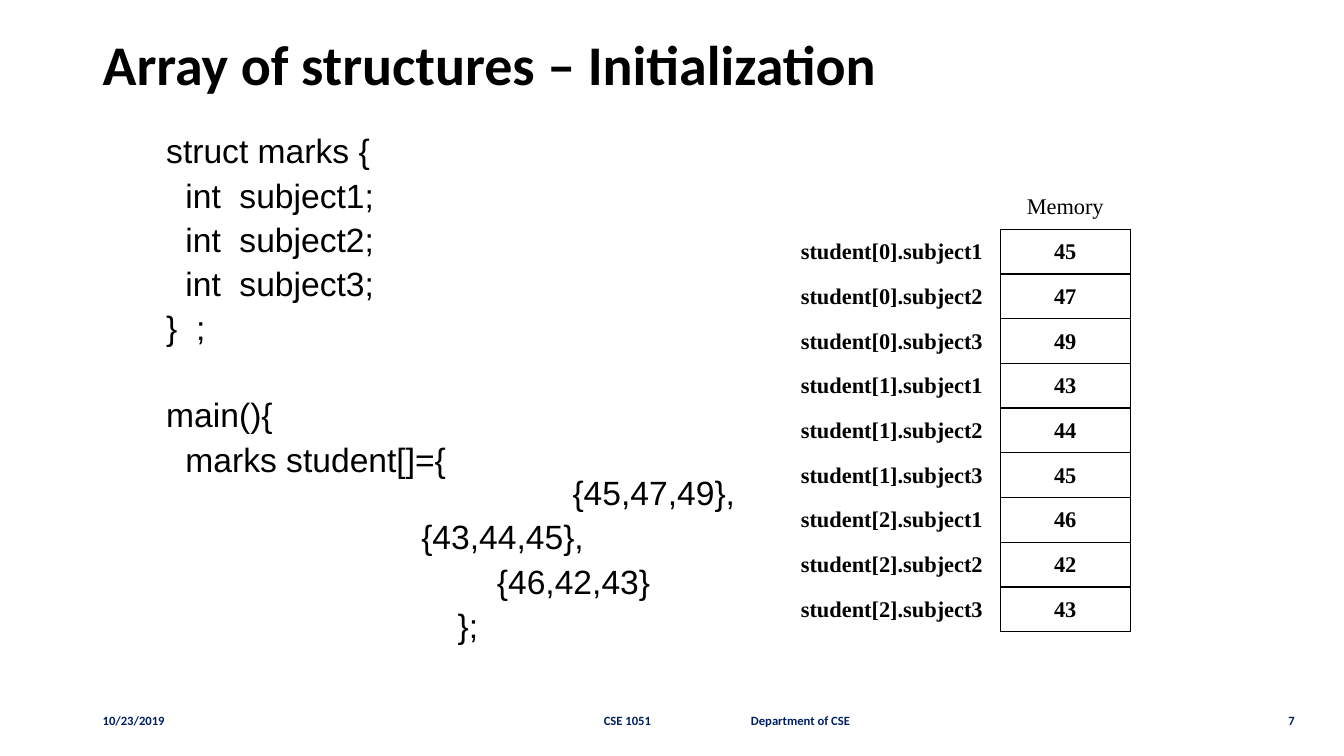
from lxml import etree
from pptx import Presentation
from pptx.dml.color import RGBColor as RGB
from pptx.enum.text import MSO_ANCHOR as Anchor, PP_ALIGN as Align
from pptx.oxml.ns import qn
from pptx.util import Inches, Pt

HUES = {"ink": "000000", "foot": "002060"}
TITLE = "Array of structures – Initialization"
CODE = [
    ("struct marks {", 0, 0),
    ("int  subject1;", 0.19, 7.7),
    ("int  subject2;", 0.19, 7.7),
    ("int  subject3;", 0.19, 7.7),
    ("}  ;", 0, 7.7),
    ("main(){", 0, 38.3),
    ("marks student[]={", 0.19, 7.7),
    ("{45,47,49},", 4.03, 0),
    ("{43,44,45},", 2.53, 7.7),
    ("{46,42,43}", 3.28, 7.7),
    ("};", 2.89, 7.7),
]
MARKS = [(45, 47, 49), (43, 44, 45), (46, 42, 43)]
FOOT = [
    ("10/23/2019", 0.92, 1.26, Align.LEFT),
    ("CSE 1051", 5.89, 1.2, Align.LEFT),
    ("Department of CSE", 7.35, 1.6, Align.LEFT),
    ("7", 12.42, 0.52, Align.RIGHT),
]
COLS = (2.15, 1.29)
ROW = 0.444


def style(para, face, size, hue="ink", bold=False):
    font = para.font
    font.name, font.size, font.bold = face, Pt(size), bold
    font.color.rgb = RGB.from_string(HUES[hue])


def add_box(slide, left, top, width, height, anchor=Anchor.MIDDLE):
    box = slide.shapes.add_textbox(*map(Inches, (left, top, width, height)))
    frame = box.text_frame
    frame.word_wrap = True
    frame.vertical_anchor = anchor
    return frame


def add_code(slide):
    frame = add_box(slide, 1.55, 1.31, 6.38, 5.28, Anchor.TOP)
    for i, (line, indent, gap) in enumerate(CODE):
        para = frame.add_paragraph() if i else frame.paragraphs[0]
        para.text = line
        para.line_spacing = 0.83
        para.space_before = Pt(gap)
        para._p.get_or_add_pPr().set("marL", str(Inches(indent)))
        style(para, "Arial", 24)


def add_edges(cell, sides):
    props = cell._tc.get_or_add_tcPr()
    for i, side in enumerate(s for s in "LRTB" if s in sides):
        edge = etree.Element(qn(f"a:ln{side}"), w=str(Pt(1)))
        fill = etree.SubElement(edge, qn("a:solidFill"))
        etree.SubElement(fill, qn("a:srgbClr"), val=HUES["ink"])
        props.insert(i, edge)


def add_memory(slide):
    rows = [("", "Memory")]
    for i, group in enumerate(MARKS):
        for j, mark in enumerate(group, 1):
            rows.append((f"student[{i}].subject{j}", str(mark)))
    size = (7.77, 1.83, sum(COLS), ROW * len(rows))
    table = slide.shapes.add_table(len(rows), len(COLS), *map(Inches, size)).table
    table.first_row = table.horz_banding = False
    for col, width in zip(table.columns, COLS):
        col.width = Inches(width)
    for r, row in enumerate(rows):
        table.rows[r].height = Inches(ROW)
        for c, text in enumerate(row):
            cell = table.cell(r, c)
            cell.text = text
            cell.vertical_anchor = Anchor.MIDDLE
            cell.margin_left = cell.margin_right = Inches(0.07)
            cell.margin_top, cell.margin_bottom = Inches(0.01), 0
            cell.fill.background()
            para = cell.text_frame.paragraphs[0]
            para.alignment = Align.CENTER
            style(para, "Times New Roman", 16, bold=r > 0)
            if r:
                add_edges(cell, "LRTB" if c else "R")
            elif c:
                add_edges(cell, "B")


def main():
    deck = Presentation()
    deck.slide_width, deck.slide_height = Inches(13.33), Inches(7.5)
    slide = deck.slides.add_slide(deck.slide_layouts[6])
    para = add_box(slide, 0.92, 0.29, 9.73, 0.75).paragraphs[0]
    para.text = TITLE
    para.line_spacing = 0.9
    style(para, "Calibri", 40, bold=True)
    add_code(slide)
    add_memory(slide)
    for text, left, width, align in FOOT:
        para = add_box(slide, left, 6.95, width, 0.4).paragraphs[0]
        para.text = text
        para.alignment = align
        style(para, "Calibri", 9, "foot", True)
    deck.save("out.pptx")


if __name__ == "__main__":
    main()
